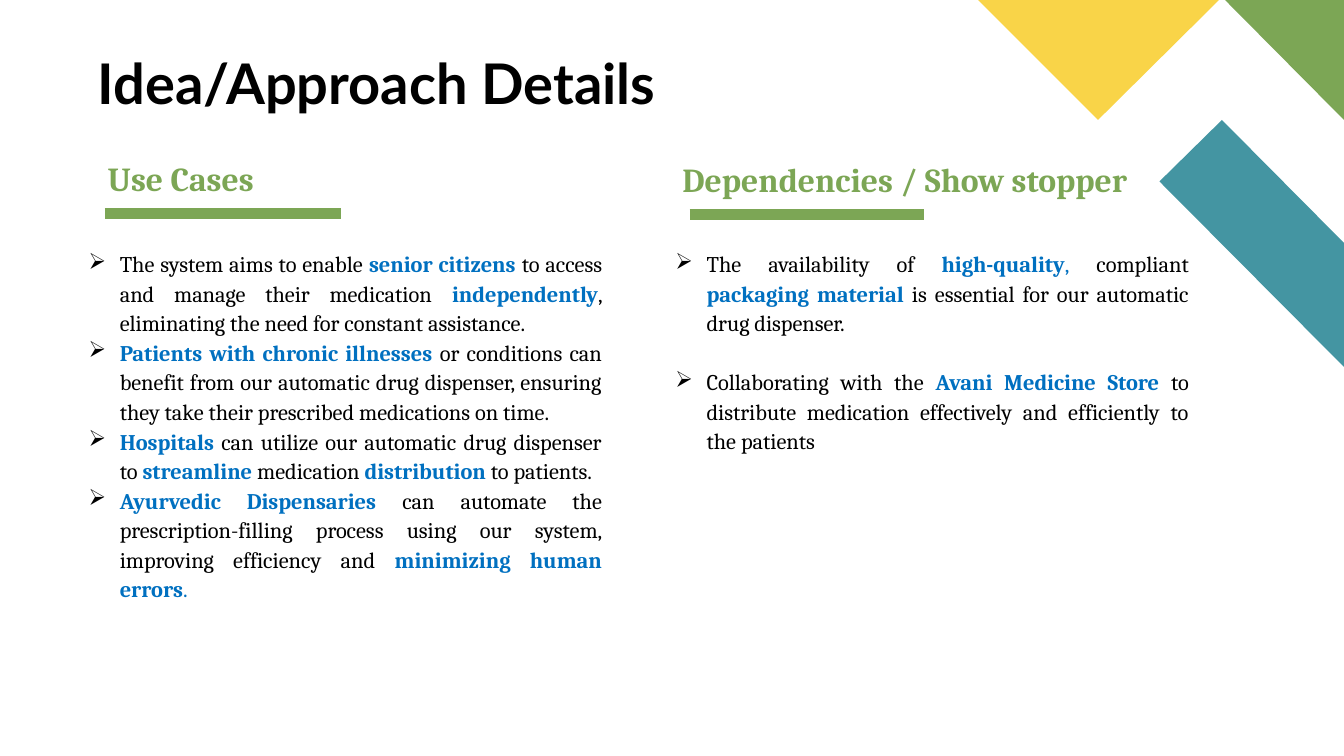
"""Build the Idea/Approach Details slide with two bulleted columns."""
from lxml import etree
from pptx import Presentation
from pptx.dml.color import RGBColor
from pptx.enum.shapes import MSO_CONNECTOR, MSO_SHAPE
from pptx.enum.text import MSO_ANCHOR, MSO_AUTO_SIZE, PP_ALIGN
from pptx.oxml.ns import qn
from pptx.util import Inches, Pt

STRAIGHT = MSO_CONNECTOR.STRAIGHT
RECTANGLE = MSO_SHAPE.RECTANGLE
TOP, BOTTOM = MSO_ANCHOR.TOP, MSO_ANCHOR.BOTTOM
LEFT, JUSTIFY = PP_ALIGN.LEFT, PP_ALIGN.JUSTIFY
NO_AUTOFIT = MSO_AUTO_SIZE.NONE

BLACK, WHITE, BLUE = "000000", "FFFFFF", "0070C0"
GREEN, TEAL, YELLOW = "7CA655", "4495A2", "F9D448"
PLAIN, STRONG, TINT = (BLACK, False), (BLUE, True), (BLUE, False)

TITLE = "Idea/Approach Details"
DECORATIONS = [
    (TEAL, [(13.33, 3.64), (13.33, 2.41), (12.12, 1.19), (11.5, 1.8)]),
    (GREEN, [(13.33, 1.19), (13.33, 0), (12.15, 0)]),
    (YELLOW, [(9.7, 0), (10.89, 1.19), (12.09, 0)]),
]
USE_CASES = [
    [("The system aims to enable ", PLAIN), ("senior citizens ", STRONG),
     ("to access and manage their medication ", PLAIN),
     ("independently", STRONG),
     (", eliminating the need for constant assistance.", PLAIN)],
    [("Patients with chronic illnesses ", STRONG),
     ("or conditions can benefit from our automatic drug dispenser, "
      "ensuring they take their prescribed medications on time.", PLAIN)],
    [("Hospitals", STRONG),
     (" can utilize our automatic drug dispenser to ", PLAIN),
     ("streamline", STRONG), (" medication ", PLAIN),
     ("distribution", STRONG), (" to patients.", PLAIN)],
    [("Ayurvedic Dispensaries ", STRONG),
     ("can automate the prescription-filling process using our system, "
      "improving efficiency and ", PLAIN),
     ("minimizing human errors", STRONG), (".", TINT)],
]
DEPENDENCIES = [
    [("The availability of ", PLAIN), ("high-quality", STRONG), (",", TINT),
     (" compliant ", PLAIN), ("packaging material ", STRONG),
     ("is essential for our automatic drug dispenser.", PLAIN)],
    [("Collaborating with the ", PLAIN), ("Avani Medicine Store ", STRONG),
     ("to distribute medication effectively and efficiently to the patients",
      PLAIN)],
]
COLUMNS = [
    {"heading": "Use Cases", "heading_box": (0.97, 1.56, 1.77, 0.44),
     "rule": (1.04, 3.38, 2.12, 8), "left": 0.78, "gap": 0,
     "bullets": USE_CASES},
    {"heading": "Dependencies / Show stopper",
     "heading_box": (6.67, 1.57, 4.77, 0.41),
     "rule": (6.84, 9.16, 2.13, 7.5), "left": 6.6, "gap": 21,
     "bullets": DEPENDENCIES},
]
BODY_TOP, BODY_WIDTH, BODY_HEIGHT = 2.41, 5.29, 4.54
BULLET_INDENT = Inches(0.31)
ARROW_FONT, ARROW_CHARACTER = "Wingdings", "Ø"


def color(value):
    return RGBColor.from_string(value)


def format_run(run, size, font_name, font_color, bold):
    run.font.size = Pt(size)
    run.font.name = font_name
    run.font.color.rgb = color(font_color)
    run.font.bold = bold


def paint(shape, fill):
    shape.shadow.inherit = False
    shape.fill.solid()
    shape.fill.fore_color.rgb = color(fill)
    shape.line.fill.background()


def add_decoration(slide, fill, points):
    corners = [(Inches(x), Inches(y)) for x, y in points]
    builder = slide.shapes.build_freeform(*corners[0], scale=1.0)
    builder.add_line_segments(corners[1:], close=True)
    paint(builder.convert_to_shape(), fill)


def add_rule(slide, start, end, height, weight):
    rule = slide.shapes.add_connector(
        STRAIGHT, Inches(start), Inches(height), Inches(end), Inches(height))
    rule.line.color.rgb = color(GREEN)
    rule.line.width = Pt(weight)
    etree.SubElement(rule._element.spPr, qn("a:effectLst"))


def add_heading(slide, text, box):
    heading = slide.shapes.add_textbox(*map(Inches, box))
    heading.text_frame.word_wrap = True
    heading.text_frame.text = text
    paragraph = heading.text_frame.paragraphs[0]
    paragraph.line_spacing = 0.9
    format_run(paragraph.runs[0], 24, "Cambria", GREEN, True)


def add_bullet_mark(paragraph):
    properties = paragraph._p.get_or_add_pPr()
    properties.set("marL", str(BULLET_INDENT))
    properties.set("indent", str(-BULLET_INDENT))
    mark_color = etree.SubElement(properties, qn("a:buClr"))
    etree.SubElement(mark_color, qn("a:srgbClr"), val=BLACK)
    etree.SubElement(properties, qn("a:buFont"), typeface=ARROW_FONT,
                     pitchFamily="2", charset="2")
    etree.SubElement(properties, qn("a:buChar"), char=ARROW_CHARACTER)


def add_bullets(slide, left, bullets, gap):
    body = slide.shapes.add_shape(
        RECTANGLE, Inches(left), Inches(BODY_TOP),
        Inches(BODY_WIDTH), Inches(BODY_HEIGHT))
    paint(body, WHITE)
    frame = body.text_frame
    frame.word_wrap = True
    frame.vertical_anchor = TOP
    for index, pieces in enumerate(bullets):
        paragraph = frame.add_paragraph() if index else frame.paragraphs[0]
        paragraph.alignment = JUSTIFY
        paragraph.line_spacing = 1.1
        paragraph.space_before = Pt(gap if index else 0)
        add_bullet_mark(paragraph)
        for text, (font_color, bold) in pieces:
            run = paragraph.add_run()
            run.text = text
            format_run(run, 16, "Cambria", font_color, bold)


def set_title(slide):
    title = slide.shapes.title
    title.left, title.top = Inches(0.97), Inches(0.49)
    title.width, title.height = Inches(6.32), Inches(0.67)
    frame = title.text_frame
    frame.text = TITLE
    frame.auto_size = NO_AUTOFIT
    frame.vertical_anchor = BOTTOM
    frame.margin_left = frame.margin_right = 0
    frame.margin_top = frame.margin_bottom = 0
    paragraph = frame.paragraphs[0]
    paragraph.alignment = LEFT
    paragraph.line_spacing = 0.9
    format_run(paragraph.runs[0], 40, "Lato", BLACK, True)


def main():
    presentation = Presentation()
    presentation.slide_width = Inches(13.33)
    presentation.slide_height = Inches(7.5)
    slide = presentation.slides.add_slide(presentation.slide_layouts[5])
    set_title(slide)
    for fill, points in DECORATIONS:
        add_decoration(slide, fill, points)
    for column in COLUMNS:
        add_heading(slide, column["heading"], column["heading_box"])
        add_bullets(slide, column["left"], column["bullets"], column["gap"])
        add_rule(slide, *column["rule"])
    presentation.save("out.pptx")


if __name__ == "__main__":
    main()
